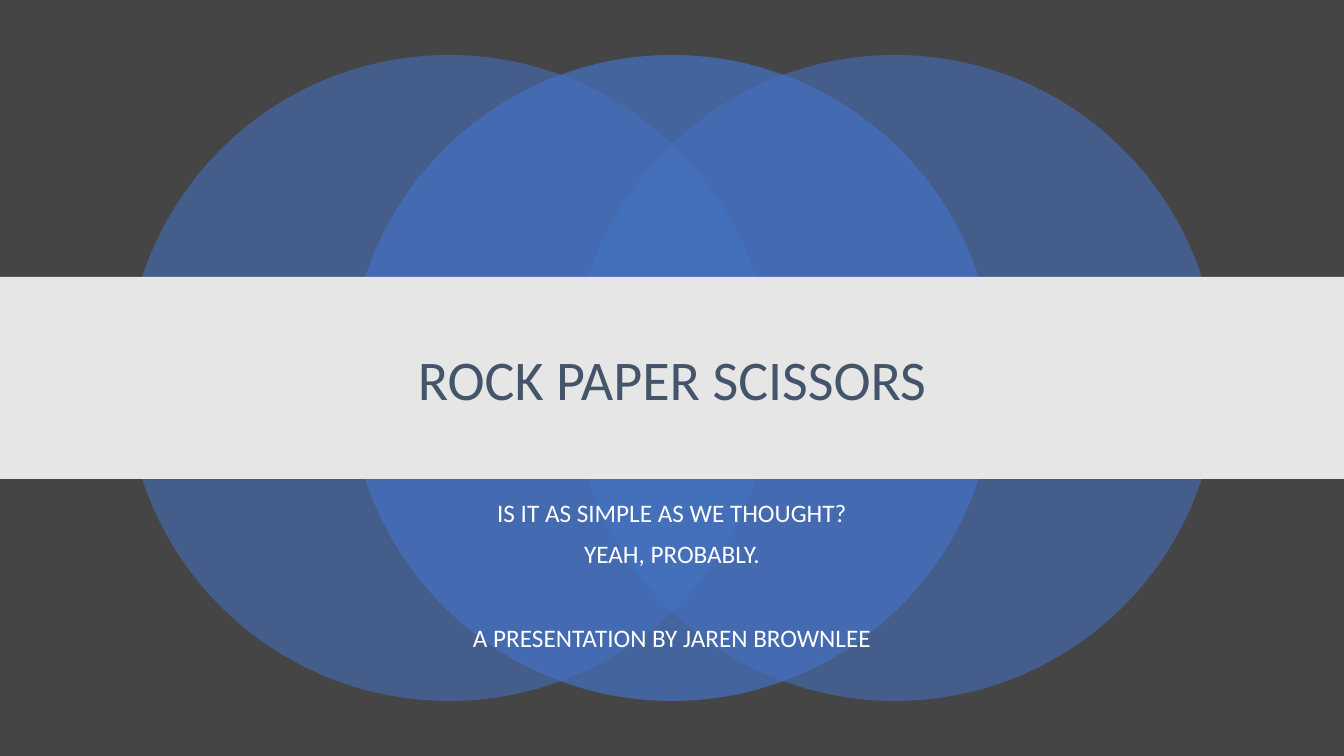
import pptx
import pptx.dml.color
import pptx.enum.shapes
import pptx.enum.text
import pptx.oxml
import pptx.oxml.ns
import pptx.util

EMU_PER_PIXEL = 914400 / 100.8
SLIDE_WIDTH, SLIDE_HEIGHT = 1344, 756
TITLE_ONLY = 5


def px(length):
    """Turn pixels into EMU."""
    return pptx.util.Emu(round(length * EMU_PER_PIXEL))


def paint(color_fill, color):
    """Make a fill solid in a hex colour."""
    color_fill.solid()
    color_fill.fore_color.rgb = pptx.dml.color.RGBColor.from_string(color)


def write(frame, lines, size, color, font, anchor="TOP", gaps=()):
    """Fill a text frame with centred lines; gaps are points above each line."""
    frame.word_wrap = True
    frame.auto_size = pptx.enum.text.MSO_AUTO_SIZE.NONE
    frame.vertical_anchor = getattr(pptx.enum.text.MSO_ANCHOR, anchor)
    for index, line in enumerate(lines):
        paragraph = frame.add_paragraph() if index else frame.paragraphs[0]
        paragraph.alignment = pptx.enum.text.PP_ALIGN.CENTER
        paragraph.line_spacing = 0.9
        paragraph.space_before = pptx.util.Pt(gaps[index] if gaps else 0)
        run = paragraph.add_run()
        run.text = line
        run.font.name = font
        run.font.size = pptx.util.Pt(size)
        paint(run.font.fill, color)


class Deck:
    """Style and current slide."""

    font = "Calibri"
    background, band_gray = "454545", "E7E6E6"
    blue, slate, white = "4472C4", "44546A", "FFFFFF"

    def __init__(self):
        """Open a widescreen presentation with one dark slide."""
        self.presentation = pptx.Presentation()
        self.presentation.slide_width = px(SLIDE_WIDTH)
        self.presentation.slide_height = px(SLIDE_HEIGHT)
        layout = self.presentation.slide_layouts[TITLE_ONLY]
        self.slide = self.presentation.slides.add_slide(layout)
        paint(self.slide.background.fill, self.background)

    def shape(self, kind, box, color, opacity=100):
        """Add a borderless preset shape, opacity in percent."""
        preset = getattr(pptx.enum.shapes.MSO_SHAPE, kind)
        shape = self.slide.shapes.add_shape(preset, *map(px, box))
        shape.shadow.inherit = False
        shape.line.fill.background()
        paint(shape.fill, color)
        if opacity < 100:
            tint = shape.fill._xPr.find(".//" + pptx.oxml.ns.qn("a:srgbClr"))
            alpha = pptx.oxml.parse_xml(
                f'<a:alpha {pptx.oxml.ns.nsdecls("a")} val="{opacity * 1000}"/>')
            tint.append(alpha)

    def title(self, text, box):
        """Place the title placeholder in front of the shapes."""
        title = self.slide.shapes.title
        title.left, title.top, title.width, title.height = map(px, box)
        write(title.text_frame, [text], 40, self.slate, self.font, anchor="MIDDLE")
        self.slide.shapes._spTree.append(title._element)

    def text(self, lines, box, gaps):
        """Add a text box of centred white lines."""
        frame = self.slide.shapes.add_textbox(*map(px, box)).text_frame
        write(frame, lines, 18, self.white, self.font, gaps=gaps)


def main():
    """Build the opening slide and save it."""
    deck = Deck()
    diameter, step, circle_top = 646, 223, 55
    middle_left = (SLIDE_WIDTH - diameter) // 2
    for offset, opacity in ((-step, 55), (step, 55), (0, 70)):
        deck.shape("OVAL", (middle_left + offset, circle_top, diameter, diameter),
                   deck.blue, opacity)
    deck.shape("RECTANGLE", (0, 277, SLIDE_WIDTH, 202), deck.band_gray)
    deck.title("ROCK PAPER SCISSORS", (168, 306, 1008, 152))
    deck.text(["IS IT AS SIMPLE AS WE THOUGHT?", "YEAH, PROBABLY.",
               "A PRESENTATION BY JAREN BROWNLEE"],
              (168, 496, 1008, 185), gaps=(10, 10, 40))
    deck.presentation.save("out.pptx")


main()
